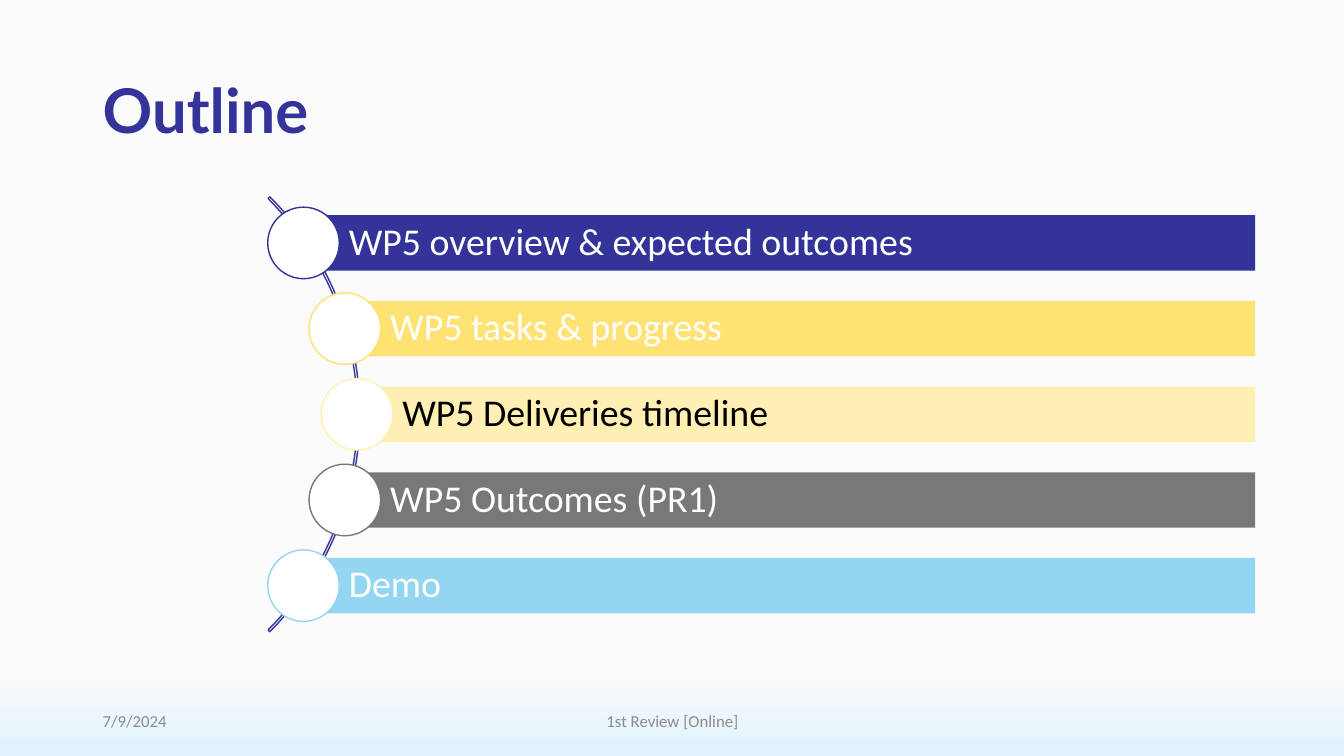
import pptx
import pptx.dml.color
import pptx.enum.shapes
import pptx.enum.text
import pptx.util
from dataclasses import dataclass

Inches = pptx.util.Inches
Shape = pptx.enum.shapes.MSO_SHAPE
Align = pptx.enum.text.PP_ALIGN


@dataclass(frozen=True)
class Theme:
    navy: str = "333399"
    yellow: str = "FFE274"
    cream: str = "FFEFB3"
    gray: str = "797878"
    sky: str = "94D5F1"
    white: str = "FFFFFF"
    black: str = "000000"
    footer: str = "8C8C8C"
    back_top: str = "FBFBFB"
    back_bottom: str = "DFF2FD"
    title_font: str = "Lato"
    body_font: str = "Calibri"
    title_size: int = 44
    item_size: int = 27
    footer_size: int = 12


THEME = Theme()

# text, bar colour, text colour, left edge of the bar
ITEMS = [
    ("WP5 overview & expected outcomes", THEME.navy, THEME.white, 3.01),
    ("WP5 tasks & progress", THEME.yellow, THEME.white, 3.42),
    ("WP5 Deliveries timeline", THEME.cream, THEME.black, 3.54),
    ("WP5 Outcomes (PR1)", THEME.gray, THEME.white, 3.42),
    ("Demo", THEME.sky, THEME.white, 3.01),
]
FIRST_CENTER = 2.41
ROW_PITCH = 0.85
BAR_RIGHT = 12.45
BAR_HEIGHT = 0.55
BAR_INSETS = (0.45, 0.07, 0.07, 0.07)
CIRCLE_SIZE = 0.71


def rgb(color):
    return pptx.dml.color.RGBColor.from_string(color)


def paint_background(slide):
    fill = slide.background.fill
    fill.gradient()
    fill.gradient_angle = 270
    colors = (THEME.back_top, THEME.back_bottom)
    for stop, color, position in zip(fill.gradient_stops, colors, (0.89, 1)):
        stop.color.rgb = rgb(color)
        stop.position = position


def write_text(shape, text, *, size, color, font=THEME.body_font, bold=False,
               align=Align.LEFT, line_spacing=1.0, insets=(0.1, 0.05, 0.1, 0.05)):
    frame = shape.text_frame
    frame.word_wrap = True
    frame.vertical_anchor = pptx.enum.text.MSO_ANCHOR.MIDDLE
    (frame.margin_left, frame.margin_top,
     frame.margin_right, frame.margin_bottom) = map(Inches, insets)
    para = frame.paragraphs[0]
    para.alignment = align
    para.line_spacing = line_spacing
    span = para.add_run()
    span.text = text
    span.font.name = font
    span.font.size = pptx.util.Pt(size)
    span.font.bold = bold
    span.font.color.rgb = rgb(color)


def add_label(slide, text, place, **text_format):
    box = slide.shapes.add_textbox(*map(Inches, place))
    write_text(box, text, **text_format)


def add_shape(slide, kind, place, *, fill=None, line=None):
    shape = slide.shapes.add_shape(kind, *map(Inches, place))
    shape.shadow.inherit = False
    if fill:
        shape.fill.solid()
        shape.fill.fore_color.rgb = rgb(fill)
    else:
        shape.fill.background()
    if line:
        shape.line.color.rgb = rgb(line)
        shape.line.width = pptx.util.Pt(1)
    else:
        shape.line.fill.background()
    return shape


def add_arc(slide):
    arc = add_shape(slide, Shape.BLOCK_ARC, (-2.53, 1.06, 6.1, 6.1), line=THEME.navy)
    # start angle, end angle (60000ths of a degree over 100000), thickness
    for index, value in enumerate((189, 27, 0.004)):
        arc.adjustments[index] = value


def add_item(slide, row, text, color, text_color, left):
    """Draw one bar and the circle centred on its left edge."""
    center = FIRST_CENTER + row * ROW_PITCH
    bar = add_shape(slide, Shape.RECTANGLE,
                    (left, center - BAR_HEIGHT / 2, BAR_RIGHT - left, BAR_HEIGHT),
                    fill=color)
    write_text(bar, text, size=THEME.item_size, color=text_color,
               line_spacing=0.9, insets=BAR_INSETS)
    radius = CIRCLE_SIZE / 2
    add_shape(slide, Shape.OVAL,
              (left - radius, center - radius, CIRCLE_SIZE, CIRCLE_SIZE),
              fill=THEME.white, line=color)


def main():
    deck = pptx.Presentation()
    deck.slide_width = Inches(13.33)
    deck.slide_height = Inches(7.5)
    slide = deck.slides.add_slide(deck.slide_layouts[6])
    paint_background(slide)

    add_label(slide, "Outline", (0.92, 0.4, 11.5, 1.45), size=THEME.title_size,
              color=THEME.navy, font=THEME.title_font, bold=True, line_spacing=0.9)
    footer = {"size": THEME.footer_size, "color": THEME.footer}
    add_label(slide, "7/9/2024", (0.92, 6.95, 3, 0.4), **footer)
    add_label(slide, "1st Review [Online]", (4.42, 6.95, 4.5, 0.4),
              align=Align.CENTER, **footer)

    add_arc(slide)
    for row, item in enumerate(ITEMS):
        add_item(slide, row, *item)

    deck.save("out.pptx")


if __name__ == "__main__":
    main()
